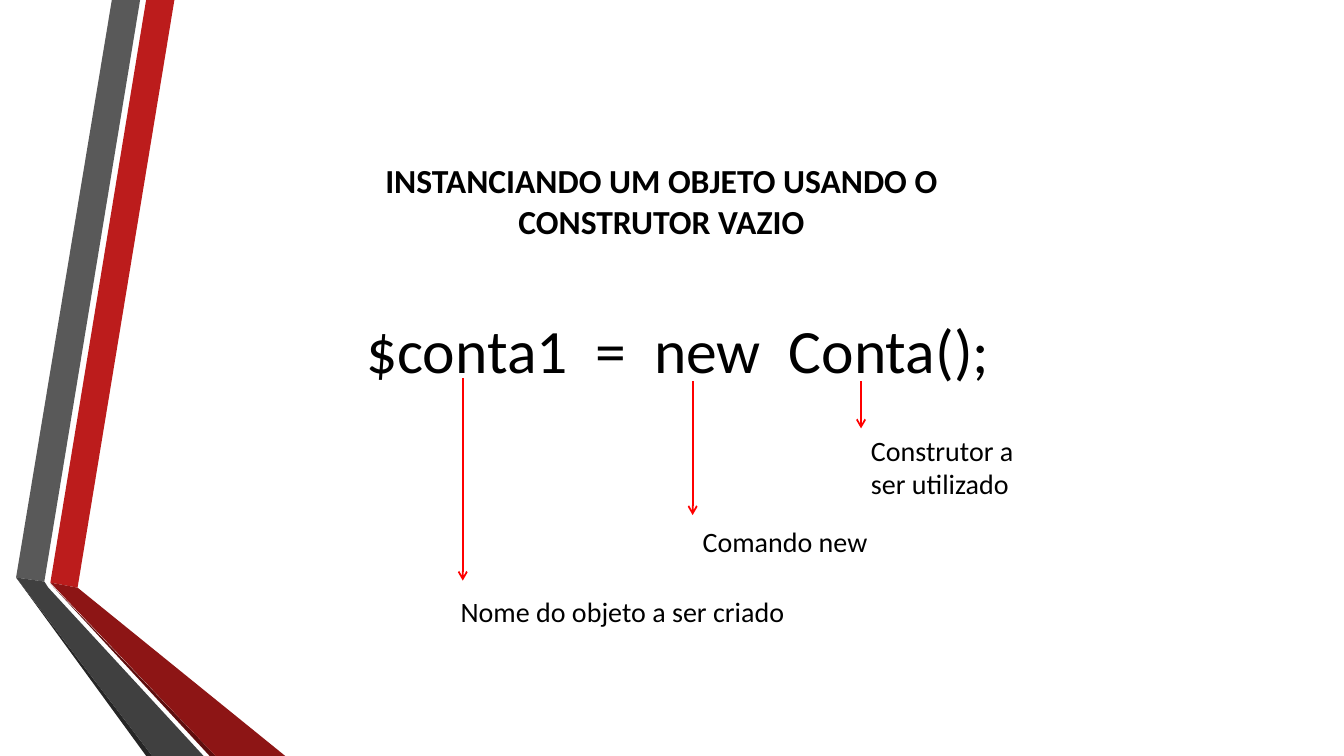
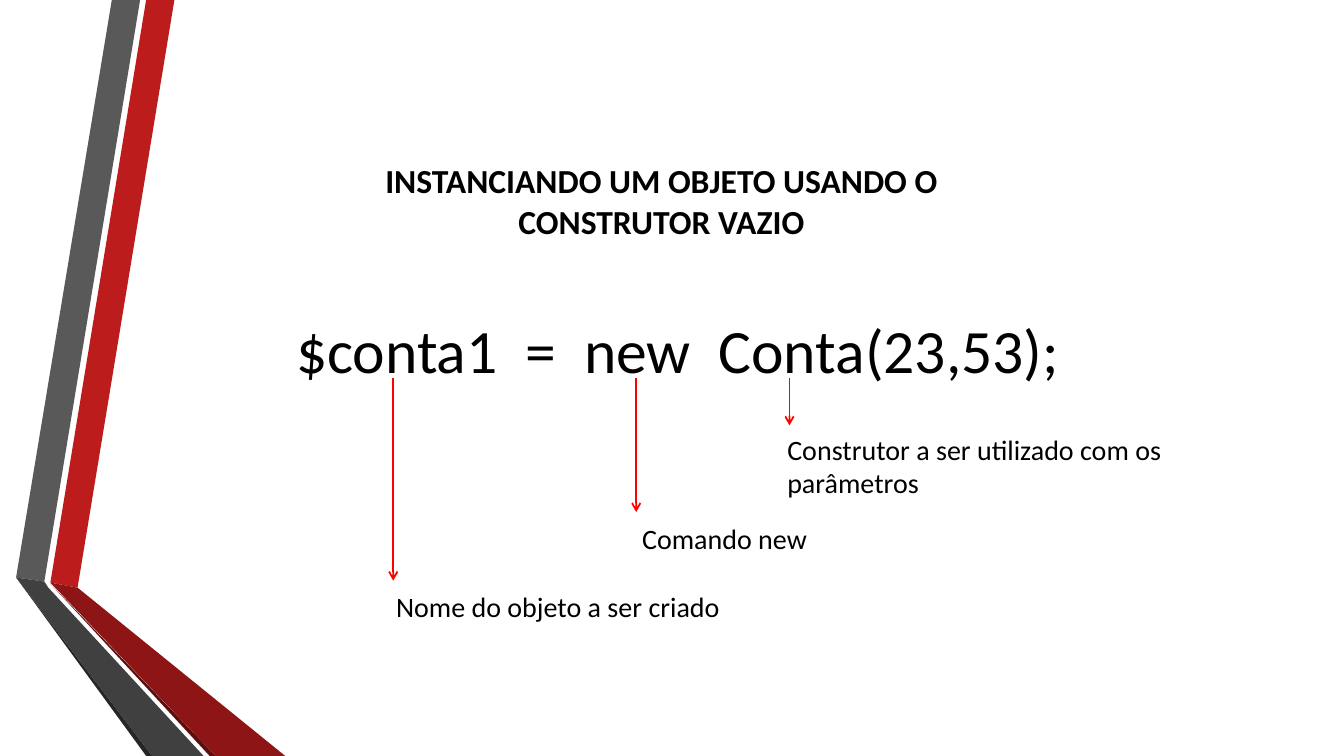
from dataclasses import dataclass

from lxml import etree
from pptx import Presentation
from pptx.dml.color import RGBColor
from pptx.enum.shapes import MSO_CONNECTOR
from pptx.enum.text import MSO_AUTO_SIZE, PP_ALIGN
from pptx.oxml.ns import qn
from pptx.util import Inches, Pt

STRAIGHT = MSO_CONNECTOR.STRAIGHT
LEFT, CENTER, JUSTIFY = PP_ALIGN.LEFT, PP_ALIGN.CENTER, PP_ALIGN.JUSTIFY
FIT_SHAPE = MSO_AUTO_SIZE.SHAPE_TO_FIT_TEXT
BLANK_LAYOUT = 6


@dataclass(frozen=True)
class Theme:
    font: str = "Calibri"
    text: str = "000000"
    arrow: str = "FF0000"
    red: str = "BC1C1C"
    red_fold: str = "8D1515"
    red_edge: str = "5E0E0E"
    gray: str = "595959"
    gray_fold: str = "404040"
    gray_edge: str = "262626"
    title_size: int = 24
    code_size: int = 44
    label_size: int = 20
    label_space: int = 12
    arrow_width: float = 1.25


THEME = Theme()

# Folded ribbon on the left: colour and outline of each facet, back to front
RIBBON = [
    (THEME.red, [(0.5, 5.78), (0.77, 5.83), (1.73, 0), (1.45, 0)]),
    (THEME.gray, [(1.39, 0), (1.11, 0), (0.16, 5.73), (0.44, 5.77)]),
    (THEME.gray_edge, [(0.16, 5.73), (1.45, 7.5), (1.51, 7.5)]),
    (THEME.red_edge, [(0.5, 5.79), (2.08, 7.5), (2.14, 7.5)]),
    (THEME.red_fold, [(0.5, 5.78), (2.14, 7.5), (2.83, 7.5), (0.77, 5.83)]),
    (THEME.gray_fold, [(2.02, 7.5), (0.48, 5.83), (0.44, 5.77),
                       (0.16, 5.73), (1.51, 7.5)]),
]

TITLE = ["INSTANCIANDO UM OBJETO USANDO O", "CONSTRUTOR VAZIO"]

# Each label: text, box (left, top, width, height), alignment
# Each arrow: x, top, bottom
SLIDES = [
    {
        "code": "$conta1  =  new  Conta();",
        "labels": [
            ("Nome do objeto a ser criado", (4.47, 5.85, 4.18, 0.44), LEFT),
            ("Comando new", (6.87, 5.15, 2.27, 0.44), JUSTIFY),
            ("Construtor a ser utilizado", (8.54, 4.25, 1.83, 0.77), LEFT),
        ],
        "arrows": [(4.59, 3.75, 5.76), (6.87, 3.78, 5.11), (8.54, 3.78, 4.25)],
    },
    {
        "code": "$conta1  =  new  Conta(23,53);",
        "labels": [
            ("Nome do objeto a ser criado", (3.83, 5.8, 4.18, 0.44), LEFT),
            ("Comando new", (6.27, 5.12, 2.27, 0.44), JUSTIFY),
            ("Construtor a ser utilizado com os parâmetros",
             (7.71, 4.24, 3.92, 0.77), LEFT),
        ],
        "arrows": [(3.9, 3.75, 5.76), (6.31, 3.75, 5.08), (7.83, 3.75, 4.22)],
    },
]


class Deck:
    def __init__(self, theme):
        self.theme = theme
        self.presentation = Presentation()
        self.presentation.slide_width = Inches(13.33)
        self.presentation.slide_height = Inches(7.5)
        self.slide = None

    def add_slide(self):
        layout = self.presentation.slide_layouts[BLANK_LAYOUT]
        self.slide = self.presentation.slides.add_slide(layout)
        for color, outline in RIBBON:
            self.polygon(outline, color)

    def polygon(self, outline, color):
        points = [(Inches(x), Inches(y)) for x, y in outline]
        builder = self.slide.shapes.build_freeform(*points[0])
        builder.add_line_segments(points[1:], close=True)
        shape = builder.convert_to_shape()
        shape.shadow.inherit = False
        shape.fill.solid()
        shape.fill.fore_color.rgb = RGBColor.from_string(color)
        shape.line.fill.background()

    def text(self, lines, box, size, align, bold=False, wrap=True, space_after=0):
        shape = self.slide.shapes.add_textbox(*map(Inches, box))
        frame = shape.text_frame
        frame.word_wrap = wrap
        frame.auto_size = FIT_SHAPE
        frame.text = "\n".join(lines)
        for paragraph in frame.paragraphs:
            paragraph.alignment = align
            paragraph.space_after = Pt(space_after)
            paragraph.font.name = self.theme.font
            paragraph.font.size = Pt(size)
            paragraph.font.bold = bold
            paragraph.font.color.rgb = RGBColor.from_string(self.theme.text)

    def title(self, lines):
        self.text(lines, (3.46, 1.54, 6.2, 0.91), self.theme.title_size,
                  CENTER, bold=True, wrap=False)

    def code(self, statement):
        self.text([statement], (1.97, 3.05, 9.51, 0.84),
                  self.theme.code_size, CENTER)

    def label(self, words, box, align):
        self.text([words], box, self.theme.label_size, align,
                  space_after=self.theme.label_space)

    def arrow(self, x, top, bottom):
        connector = self.slide.shapes.add_connector(
            STRAIGHT, Inches(x), Inches(top), Inches(x), Inches(bottom))
        connector.line.color.rgb = RGBColor.from_string(self.theme.arrow)
        connector.line.width = Pt(self.theme.arrow_width)
        # Open arrowhead, no shadow
        properties = connector.element.spPr
        etree.SubElement(properties.find(qn("a:ln")), qn("a:tailEnd"), type="arrow")
        etree.SubElement(properties, qn("a:effectLst"))


def main():
    deck = Deck(THEME)
    for content in SLIDES:
        deck.add_slide()
        deck.title(TITLE)
        deck.code(content["code"])
        for label in content["labels"]:
            deck.label(*label)
        for arrow in content["arrows"]:
            deck.arrow(*arrow)
    deck.presentation.save("out.pptx")


if __name__ == "__main__":
    main()
